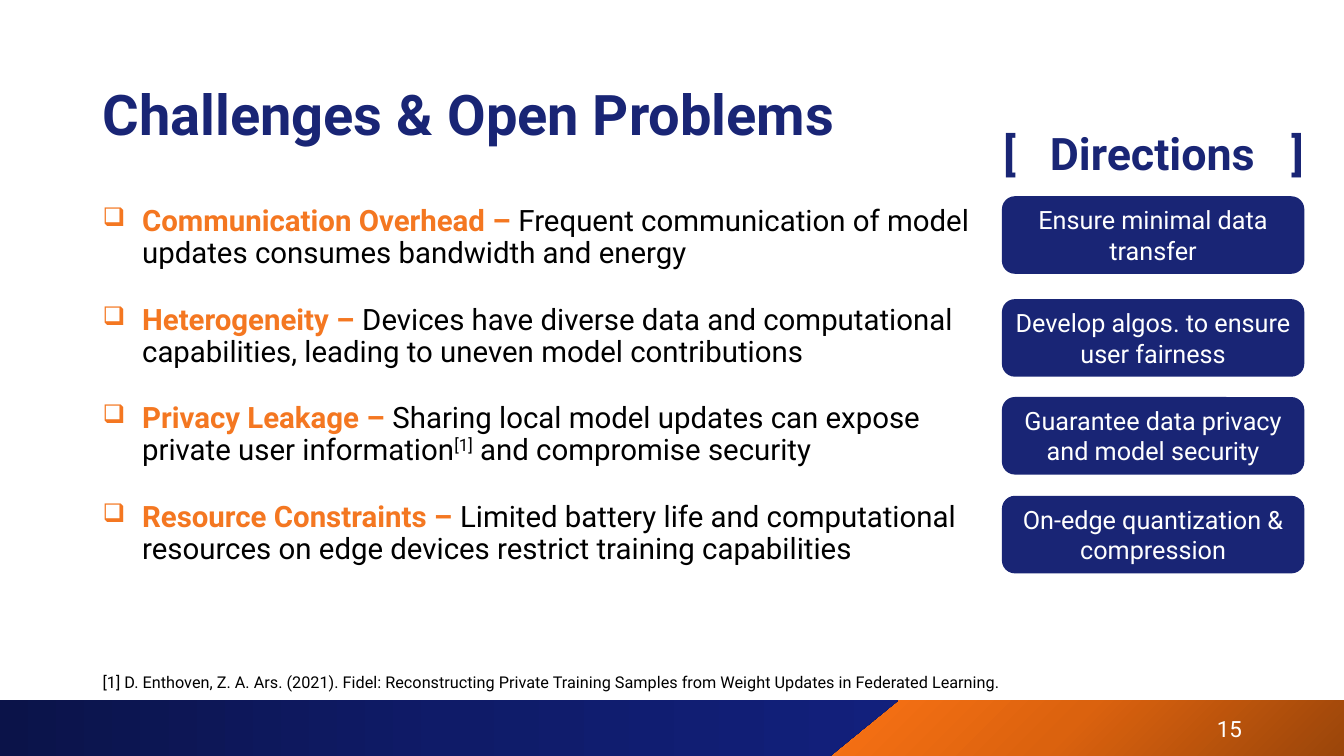
"""Build the slide on challenges, open problems and research directions."""
from copy import deepcopy
from dataclasses import dataclass

from lxml import etree
from pptx import Presentation
from pptx import util as u
from pptx.dml.color import RGBColor
from pptx.enum import shapes, text
from pptx.oxml import ns


@dataclass(frozen=True)
class Theme:
    font: str = "Roboto"
    navy: str = "192575"
    orange: str = "F47721"
    black: str = "000000"
    white: str = "FFFFFF"
    blue_band: tuple[str, ...] = ("0B1349", "0F1B68", "12207C")
    orange_band: tuple[str, ...] = ("9A450A", "DB620E", "FF7516")
    title: float = 40
    heading: float = 32
    body: float = 21
    reference: float = 20
    label: float = 18
    number: float = 16


@dataclass(frozen=True)
class Box:
    left: float
    top: float
    width: float
    height: float

    def lengths(self) -> tuple:
        return tuple(u.Pt(v) for v in (self.left, self.top, self.width, self.height))


@dataclass(frozen=True)
class Run:
    words: str
    size: float
    color: str
    bold: bool = False
    baseline: int = 0


@dataclass(frozen=True)
class Challenge:
    name: str
    details: tuple[tuple[str, int], ...]
    direction: str
    direction_top: float


THEME = Theme()
SLIDE_WIDTH, SLIDE_HEIGHT = 960, 540
LEFT = 66.24
BAND_TOP = 500.4
BULLET_INDENT = 28.2
CHALLENGES = (
    Challenge(
        "Communication Overhead – ",
        (("Frequent communication of model updates consumes bandwidth and energy", 0),),
        "Ensure minimal data transfer", 140.2),
    Challenge(
        "Heterogeneity – ",
        (("Devices have diverse data and computational capabilities, "
          "leading to uneven model contributions", 0),),
        "Develop algos. to ensure user fairness", 213.7),
    Challenge(
        "Privacy Leakage – ",
        (("Sharing local model updates can expose private user information", 0),
         ("[1]", 30), (" and compromise security", 0)),
        "Guarantee data privacy and model security", 283.6),
    Challenge(
        "Resource Constraints – ",
        (("Limited battery life and computational resources on edge devices "
          "restrict training capabilities", 0),),
        "On-edge quantization & compression", 354.2),
)


def add_run(paragraph, item: Run) -> None:
    run = paragraph.add_run()
    run.text = item.words
    run.font.name = THEME.font
    run.font.size = u.Pt(item.size)
    run.font.bold = item.bold
    run.font.color.rgb = RGBColor.from_string(item.color)
    if item.baseline:
        run.font._element.set("baseline", str(item.baseline * 1000))


def add_child(parent, tag: str, **attributes: str):
    return etree.SubElement(parent, ns.qn(tag), attributes)


def add_text(slide, box: Box, item: Run | None = None,
             align=text.PP_ALIGN.LEFT, anchor=text.MSO_ANCHOR.TOP):
    frame = slide.shapes.add_textbox(*box.lengths()).text_frame
    frame.word_wrap = True
    frame.vertical_anchor = anchor
    paragraph = frame.paragraphs[0]
    paragraph.alignment = align
    if item:
        add_run(paragraph, item)
    return frame


def add_band(slide, corners: list[tuple[float, float]],
             colors: tuple[str, ...], angle: float) -> None:
    builder = slide.shapes.build_freeform(
        *corners[0], scale=u.Pt(1))
    builder.add_line_segments(corners[1:], close=True)
    shape = builder.convert_to_shape()
    shape.shadow.inherit = False
    shape.line.fill.background()
    shape.fill.gradient()
    shape.fill.gradient_angle = angle
    stop_list = shape._element.spPr.find(".//" + ns.qn("a:gsLst"))
    stop_list.append(deepcopy(stop_list[1]))
    for index, (stop, color) in enumerate(zip(shape.fill.gradient_stops, colors)):
        stop.color.rgb = RGBColor.from_string(color)
        stop.position = index / (len(colors) - 1)


def add_challenge(paragraph, challenge: Challenge, first: bool) -> None:
    properties = paragraph._p.get_or_add_pPr()
    properties.set("marL", str(u.Pt(BULLET_INDENT)))
    properties.set("indent", str(-u.Pt(BULLET_INDENT)))
    add_child(add_child(properties, "a:buClr"), "a:srgbClr", val=THEME.orange)
    add_child(properties, "a:buSzPct", val="87000")
    add_child(properties, "a:buChar", char="❑")
    paragraph.line_spacing = 0.9
    if not first:
        paragraph.space_before = u.Pt(25)
    add_run(paragraph, Run(challenge.name, THEME.body, THEME.orange, True))
    for words, baseline in challenge.details:
        add_run(paragraph, Run(words, THEME.body, THEME.black, baseline=baseline))


def add_direction(slide, challenge: Challenge) -> None:
    box = Box(715.7, challenge.direction_top, 216, 55.4)
    shape = slide.shapes.add_shape(
        shapes.MSO_SHAPE.ROUNDED_RECTANGLE, *box.lengths())
    shape.shadow.inherit = False
    shape.fill.solid()
    shape.fill.fore_color.rgb = RGBColor.from_string(THEME.navy)
    shape.line.fill.background()
    frame = shape.text_frame
    frame.word_wrap = True
    frame.vertical_anchor = text.MSO_ANCHOR.MIDDLE
    frame.margin_left = frame.margin_right = u.Pt(3.6)
    paragraph = frame.paragraphs[0]
    paragraph.alignment = text.PP_ALIGN.CENTER
    add_run(paragraph, Run(challenge.direction, THEME.label, THEME.white))


def add_directions_heading(slide) -> None:
    frame = add_text(slide, Box(709.6, 86.4, 236, 46))
    paragraph = frame.paragraphs[0]
    tabs = add_child(paragraph._p.get_or_add_pPr(), "a:tabLst")
    for position in (33.2, 205.7):
        add_child(tabs, "a:tab", pos=str(u.Pt(position)), algn="l")
    add_run(paragraph, Run("[\tDirections\t]", THEME.heading, THEME.navy, True))


def main() -> None:
    presentation = Presentation()
    presentation.slide_width = u.Pt(SLIDE_WIDTH)
    presentation.slide_height = u.Pt(SLIDE_HEIGHT)
    slide = presentation.slides.add_slide(presentation.slide_layouts[6])

    add_band(slide, [(566, BAND_TOP), (SLIDE_WIDTH, BAND_TOP),
                     (SLIDE_WIDTH, SLIDE_HEIGHT), (566, SLIDE_HEIGHT)],
             THEME.orange_band, 135)
    add_band(slide, [(0, BAND_TOP), (642, BAND_TOP),
                     (593, SLIDE_HEIGHT), (0, SLIDE_HEIGHT)],
             THEME.blue_band, 0)

    add_text(slide, Box(LEFT, 28.8, 857.5, 104.4),
             Run("Challenges & Open Problems", THEME.title, THEME.navy, True),
             anchor=text.MSO_ANCHOR.MIDDLE)
    body = add_text(slide, Box(LEFT, 144, 641.5, 310))
    for index, challenge in enumerate(CHALLENGES):
        paragraph = body.add_paragraph() if index else body.paragraphs[0]
        add_challenge(paragraph, challenge, index == 0)
        add_direction(slide, challenge)
    add_directions_heading(slide)

    add_text(slide, Box(LEFT, 463, 866, 24),
             Run("[1] D. Enthoven, Z. A. Ars. (2021). Fidel: Reconstructing Private "
                 "Training Samples from Weight Updates in Federated Learning.",
                 THEME.reference, THEME.black, baseline=-25))
    add_text(slide, Box(678.2, 506.2, 216, 28.8),
             Run("15", THEME.number, THEME.white),
             text.PP_ALIGN.RIGHT, text.MSO_ANCHOR.MIDDLE)
    presentation.save("out.pptx")


if __name__ == "__main__":
    main()
